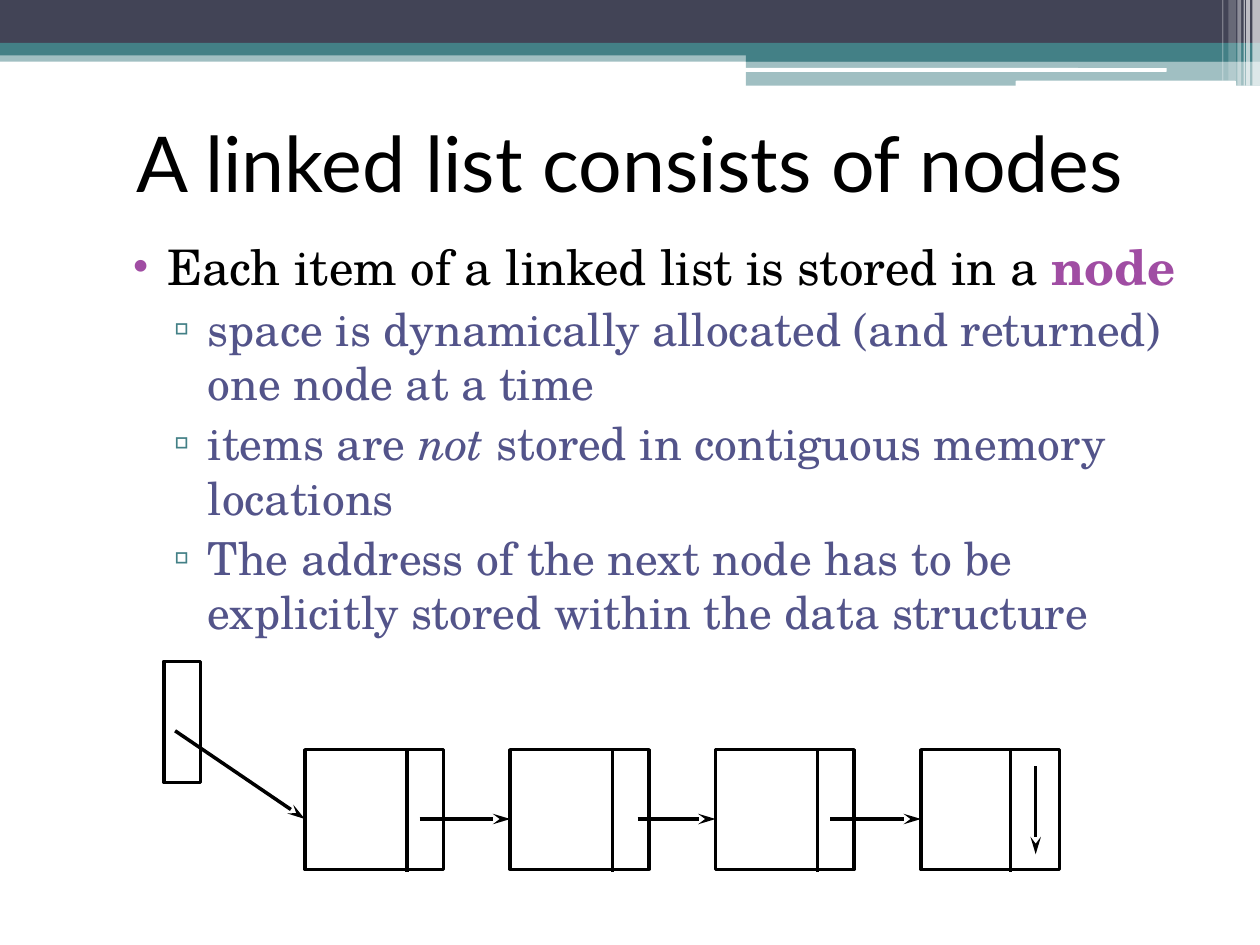
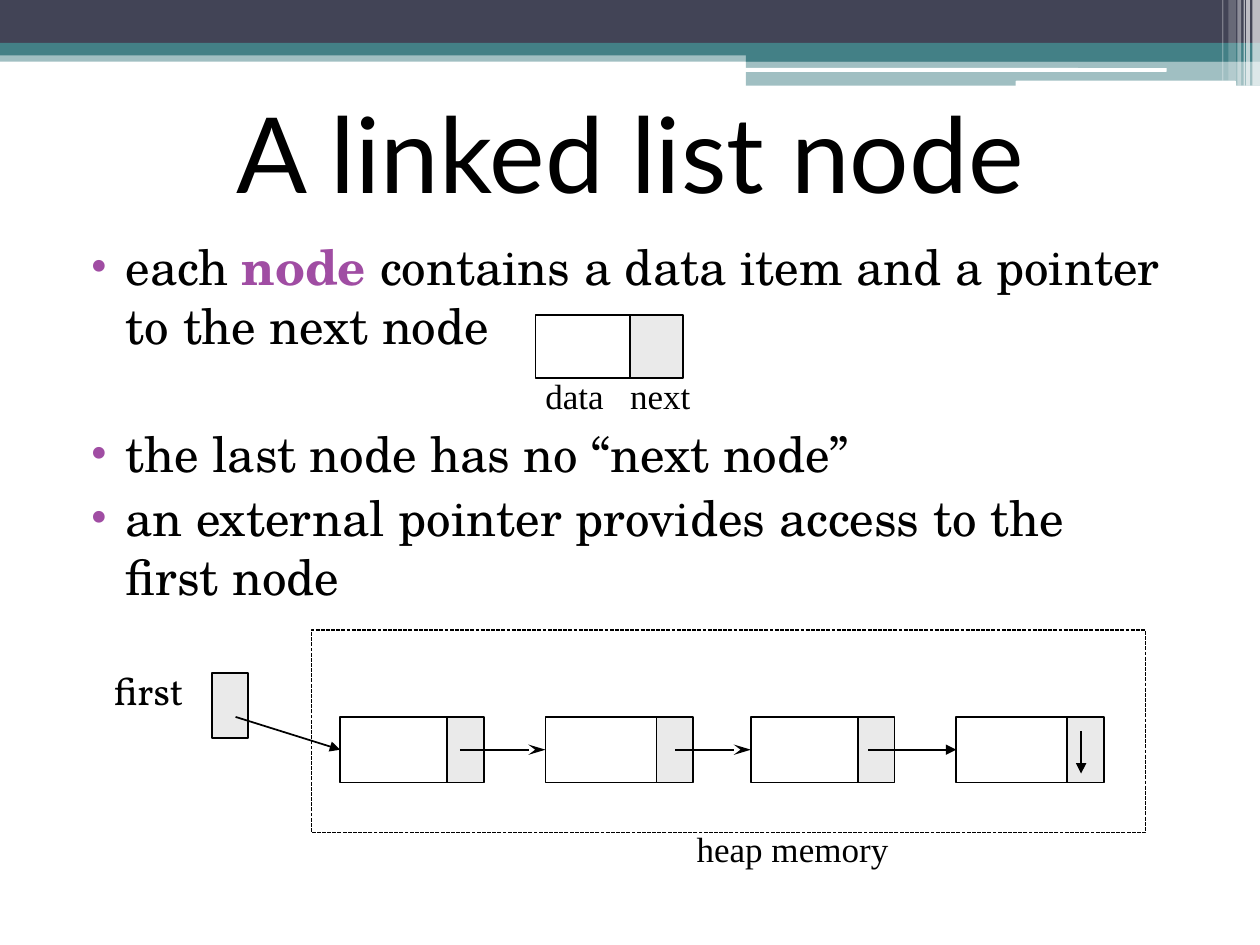
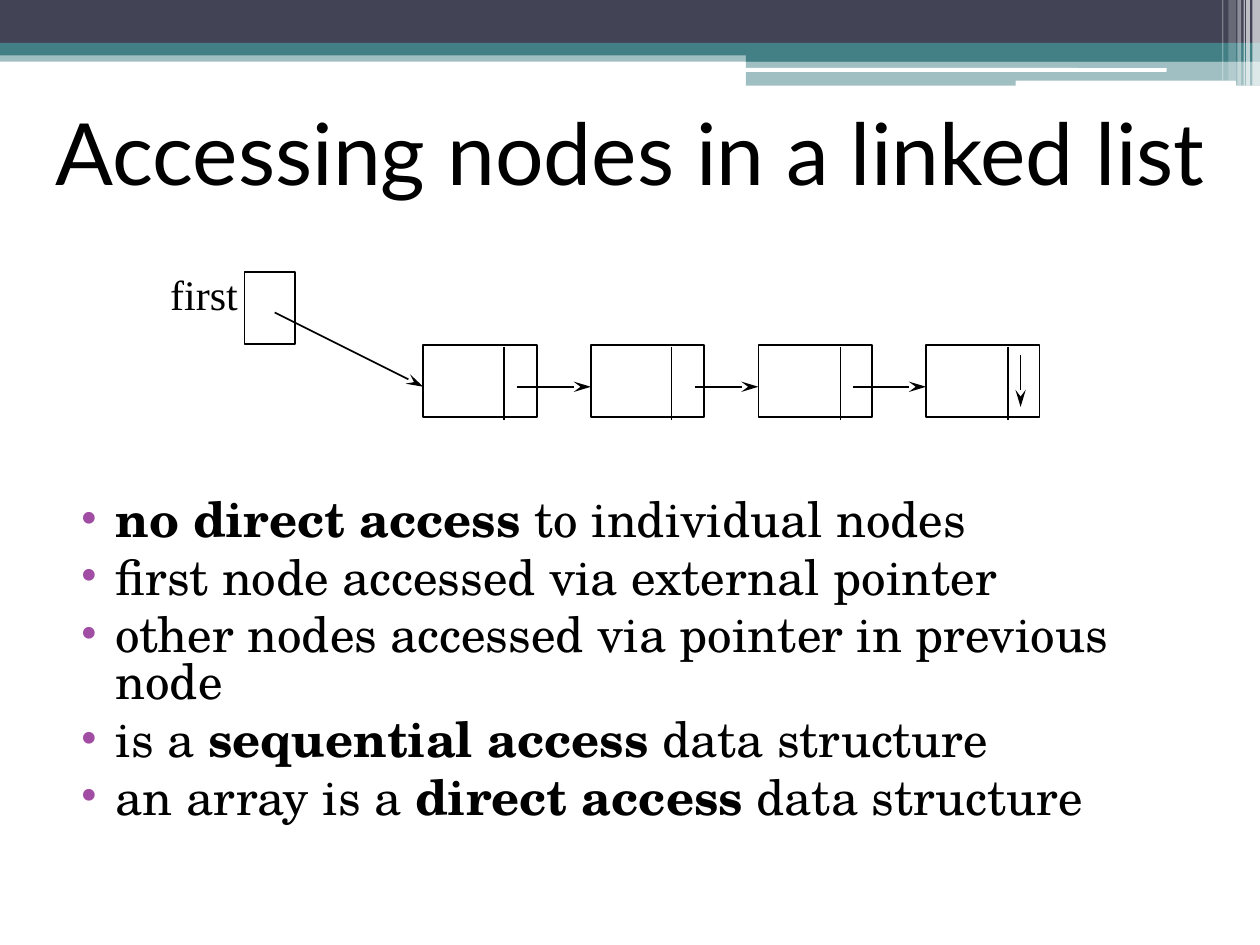
import lxml.etree
import pptx
import pptx.dml.color
import pptx.enum.dml
import pptx.enum.shapes
import pptx.enum.text
import pptx.oxml.ns
import pptx.util

Inches, Pt = pptx.util.Inches, pptx.util.Pt
Color = pptx.dml.color.RGBColor
Kind = pptx.enum.shapes.MSO_SHAPE
Align = pptx.enum.text.PP_ALIGN
qn = pptx.oxml.ns.qn

BLACK = Color(0x00, 0x00, 0x00)
WHITE = Color(0xFF, 0xFF, 0xFF)
SLATE = Color(0x42, 0x44, 0x56)
TEAL = Color(0x43, 0x80, 0x86)
PURPLE = Color(0xA0, 0x4D, 0xA3)
INDIGO = Color(0x53, 0x54, 0x8A)
GREY = Color(0xEA, 0xEA, 0xEA)

HEAD, BODY, SERIF = "Lato", "TeX Gyre Schola", "Times New Roman"
RECT, ROUND = Kind.RECTANGLE, Kind.ROUNDED_RECTANGLE

# Header bands: box, colour, opacity in percent, shape
BANDS = [
    ((0, 0.4, 10, 0.09), TEAL, 50, RECT),
    ((0, 0, 10, 0.34), SLATE, 100, RECT),
    ((0, 0.34, 10, 0.1), TEAL, 100, RECT),
    ((5.92, 0.39, 4.08, 0.1), TEAL, 100, RECT),
    ((5.92, 0.48, 4.08, 0.2), TEAL, 50, RECT),
    ((5.91, 0.54, 3.35, 0.03), WHITE, 100, ROUND),
    ((8.06, 0.64, 1.75, 0.05), WHITE, 100, ROUND),
]
# Stripes at the right end of the header: left, width, height, opacity
STRIPES = [
    (9.94, 0.06, 0.68, 65), (9.89, 0.03, 0.68, 65), (9.87, 0.01, 0.68, 60),
    (9.82, 0.03, 0.68, 40), (9.75, 0.06, 0.64, 20), (9.7, 0.01, 0.64, 30),
]

# Bullet levels: mark, mark colour, indent, hang, size, text colour
LEVELS = [
    ("•", PURPLE, 0.4, 0.28, 28, BLACK),
    ("▫", TEAL, 0.72, 0.27, 26, INDIGO),
]

# Points: level, runs of (text, style), where style is "", "b", "i" or "key"
SLIDES = [
    {
        "title": ("A linked list consists of nodes", (0, 0.58, 10, 1.58), 44, 0.7),
        "box": (0.83, 1.83, 8.92, 4.5), "before": 3, "lines": None, "gaps": {},
        "points": [
            (0, [("Each item of a linked list is stored in a ", ""), ("node", "key")]),
            (1, [("space is dynamically allocated (and returned) one node at a time", "")]),
            (1, [("items are ", ""), ("not", "i"),
                 (" stored in contiguous memory locations", "")]),
            (1, [("The address of the next node has to be explicitly stored "
                  "within the data structure", "")]),
        ],
        "chain": {
            "first": (1.3, 5.25, 0.29, 0.96), "node": (2.42, 5.95, 1.1, 0.95),
            "pitch": 1.63, "weight": 2, "fill": None,
            "cells": [3.23, 4.86, 6.49, 8.02], "cut": (5.94, 6.92),
            "entry": (1.39, 5.8), "starts": [3.33, 5.06, 6.59], "mid": 6.5,
            "end": (8.22, 6.08, 6.78, 2), "heads": ["stealth"] * 5,
        },
        "frames": [], "labels": [],
    },
    {
        "title": ("A linked list node", (0, 0.58, 10, 1.25), 60, None),
        "box": (0.5, 1.83, 8.83, 4.5), "before": 3, "lines": None, "gaps": {1: 39.4},
        "points": [
            (0, [("each ", ""), ("node ", "key"),
                 ("contains a data item and a pointer to the next node", "")]),
            (0, [("the last node has no “next node”", "")]),
            (0, [("an external pointer provides access to the first node", "")]),
        ],
        "chain": {
            "first": (1.68, 5.34, 0.29, 0.52), "node": (2.7, 5.69, 1.11, 0.52),
            "pitch": 1.63, "weight": 1, "fill": GREY,
            "cells": [3.55, 5.21, 6.81, 8.47], "cut": None,
            "entry": (1.87, 5.69), "starts": [3.65, 5.36, 6.89], "mid": 5.95,
            "end": (8.58, 5.8, 6.14, 0.75),
            "heads": ["triangle", "stealth", "stealth", "triangle", "triangle"],
        },
        # Frames: box, fill, dashed
        "frames": [
            ((4.25, 2.5, 0.75, 0.5), None, False),
            ((5, 2.5, 0.42, 0.5), GREY, False),
            ((2.47, 5, 6.62, 1.61), None, True),
        ],
        # Labels: text, box, size, font, inset
        "labels": [
            ("data", (4.06, 2.92, 1, 0.44), 20, SERIF, 0.1),
            ("next", (4.74, 2.92, 1, 0.44), 20, SERIF, 0.1),
            ("first", (0.68, 5.23, 1, 0.49), 22, "Vollkorn", 0.12),
            ("heap memory", (5.29, 6.52, 2, 0.44), 20, SERIF, 0.1),
        ],
    },
    {
        "title": ("Accessing nodes in a linked list", (0, 0.67, 10, 1.21), 49, 0.8),
        "box": (0.42, 3.92, 9.33, 2.83), "before": 6, "lines": 0.8, "gaps": {},
        "points": [
            (0, [("no direct access", "b"), (" to individual nodes", "")]),
            (0, [("first node accessed via external pointer", "")]),
            (0, [("other nodes accessed via pointer in previous node", "")]),
            (0, [("is a ", ""), ("sequential access", "b"), (" data structure", "")]),
            (0, [("an array is a ", ""), ("direct access", "b"),
                 (" data structure", "")]),
        ],
        "chain": {
            "first": (1.94, 2.16, 0.4, 0.57), "node": (3.36, 2.74, 0.9, 0.57),
            "pitch": 1.33, "weight": 1, "fill": None,
            "cells": [4, 5.33, 6.67, 8], "cut": (2.75, 3.33),
            "entry": (2.18, 2.48), "starts": [4.1, 5.52, 6.77], "mid": 3.07,
            "end": (8.1, 2.82, 3.23, 1), "heads": ["stealth"] * 5,
        },
        "frames": [],
        "labels": [("first", (1.12, 2.08, 1, 0.5), 24, SERIF, 0.1)],
    },
]


def place(box):
    return [Inches(n) for n in box]


def add_box(slide, box, fill=None, weight=None, alpha=100, kind=RECT, dash=False):
    shape = slide.shapes.add_shape(kind, *place(box))
    shape.shadow.inherit = False
    if fill is None:
        shape.fill.background()
    else:
        shape.fill.solid()
        shape.fill.fore_color.rgb = fill
        if alpha < 100:
            tint = shape.element.spPr.find(".//" + qn("a:srgbClr"))
            lxml.etree.SubElement(tint, qn("a:alpha"), val=str(alpha * 1000))
    if weight is None:
        shape.line.fill.background()
    else:
        shape.line.color.rgb = BLACK
        shape.line.width = Pt(weight)
        if dash:
            shape.line.dash_style = pptx.enum.dml.MSO_LINE.SQUARE_DOT


def add_line(slide, start, end, weight, head=None):
    line = slide.shapes.add_connector(
        pptx.enum.shapes.MSO_CONNECTOR.STRAIGHT, *place(start + end))
    line.line.color.rgb = BLACK
    line.line.width = Pt(weight)
    props = line.element.spPr
    if head:
        size = "lg" if head == "stealth" else "med"
        lxml.etree.SubElement(props.find(qn("a:ln")), qn("a:tailEnd"),
                              type=head, len=size)
    lxml.etree.SubElement(props, qn("a:effectLst"))


def add_frame(slide, box, wrap=True, inset=0.1):
    frame = slide.shapes.add_textbox(*place(box)).text_frame
    frame.word_wrap = wrap
    frame.margin_left = frame.margin_right = Inches(inset)
    frame.margin_top = frame.margin_bottom = Inches(inset / 2)
    return frame


def add_run(para, text, size, font, color=BLACK, style=""):
    run = para.add_run()
    run.text = text
    run.font.size, run.font.name = Pt(size), font
    run.font.color.rgb = PURPLE if style == "key" else color
    run.font.bold = style in ("b", "key")
    run.font.italic = style == "i"


def add_mark(para, mark, color, indent, hang):
    props = para._p.get_or_add_pPr()
    props.set("marL", str(Inches(indent)))
    props.set("indent", str(-Inches(hang)))
    tint = lxml.etree.SubElement(props, qn("a:buClr"))
    lxml.etree.SubElement(tint, qn("a:srgbClr"), val=str(color))
    lxml.etree.SubElement(props, qn("a:buFont"), typeface=SERIF)
    lxml.etree.SubElement(props, qn("a:buChar"), char=mark)


def add_bands(slide):
    for box, color, alpha, kind in BANDS:
        add_box(slide, box, color, alpha=alpha, kind=kind)
    for left, width, height, alpha in STRIPES:
        add_box(slide, (left, 0, width, height), WHITE, alpha=alpha)


def add_title(slide, text, box, size, lines):
    frame = add_frame(slide, box)
    frame.vertical_anchor = pptx.enum.text.MSO_ANCHOR.MIDDLE
    para = frame.paragraphs[0]
    para.alignment = Align.CENTER
    para.line_spacing = lines
    add_run(para, text, size, HEAD)


def add_points(slide, page):
    frame = add_frame(slide, page["box"])
    for i, (level, runs) in enumerate(page["points"]):
        para = frame.add_paragraph() if i else frame.paragraphs[0]
        mark, tint, indent, hang, size, color = LEVELS[level]
        para.level = level
        para.line_spacing = page["lines"]
        para.space_before = Pt(page["gaps"].get(i, page["before"]))
        add_mark(para, mark, tint, indent, hang)
        for text, style in runs:
            add_run(para, text, size, BODY, color, style)


def add_chain(slide, chain):
    left, top, width, height = chain["node"]
    weight, mid = chain["weight"], chain["mid"]
    lefts = [left + i * chain["pitch"] for i in range(len(chain["cells"]))]

    # Outer pointer, nodes and their pointer cells
    add_box(slide, chain["first"], chain["fill"], weight)
    for x in lefts:
        add_box(slide, (x, top, width, height), None, weight)
    for x in chain["cells"]:
        if chain["cut"]:
            add_line(slide, (x, chain["cut"][0]), (x, chain["cut"][1]), weight)
        else:
            add_box(slide, (x, top, 0.29, height), chain["fill"], weight)

    # Arrows into each node, then the closing arrow
    tails = [chain["entry"]] + [(x, mid) for x in chain["starts"]]
    for tail, x, head in zip(tails, lefts, chain["heads"]):
        add_line(slide, tail, (x, mid), weight, head)
    x, high, low, thin = chain["end"]
    add_line(slide, (x, high), (x, low), thin, chain["heads"][-1])


def main():
    deck = pptx.Presentation()
    deck.slide_width, deck.slide_height = Inches(10), Inches(7.5)
    for page in SLIDES:
        slide = deck.slides.add_slide(deck.slide_layouts[6])
        add_bands(slide)
        add_title(slide, *page["title"])
        add_points(slide, page)
        add_chain(slide, page["chain"])
        for box, fill, dash in page["frames"]:
            add_box(slide, box, fill, 0.75, dash=dash)
        for text, box, size, font, inset in page["labels"]:
            para = add_frame(slide, box, False, inset).paragraphs[0]
            para.alignment = Align.CENTER
            add_run(para, text, size, font)
    deck.save("out.pptx")


if __name__ == "__main__":
    main()
